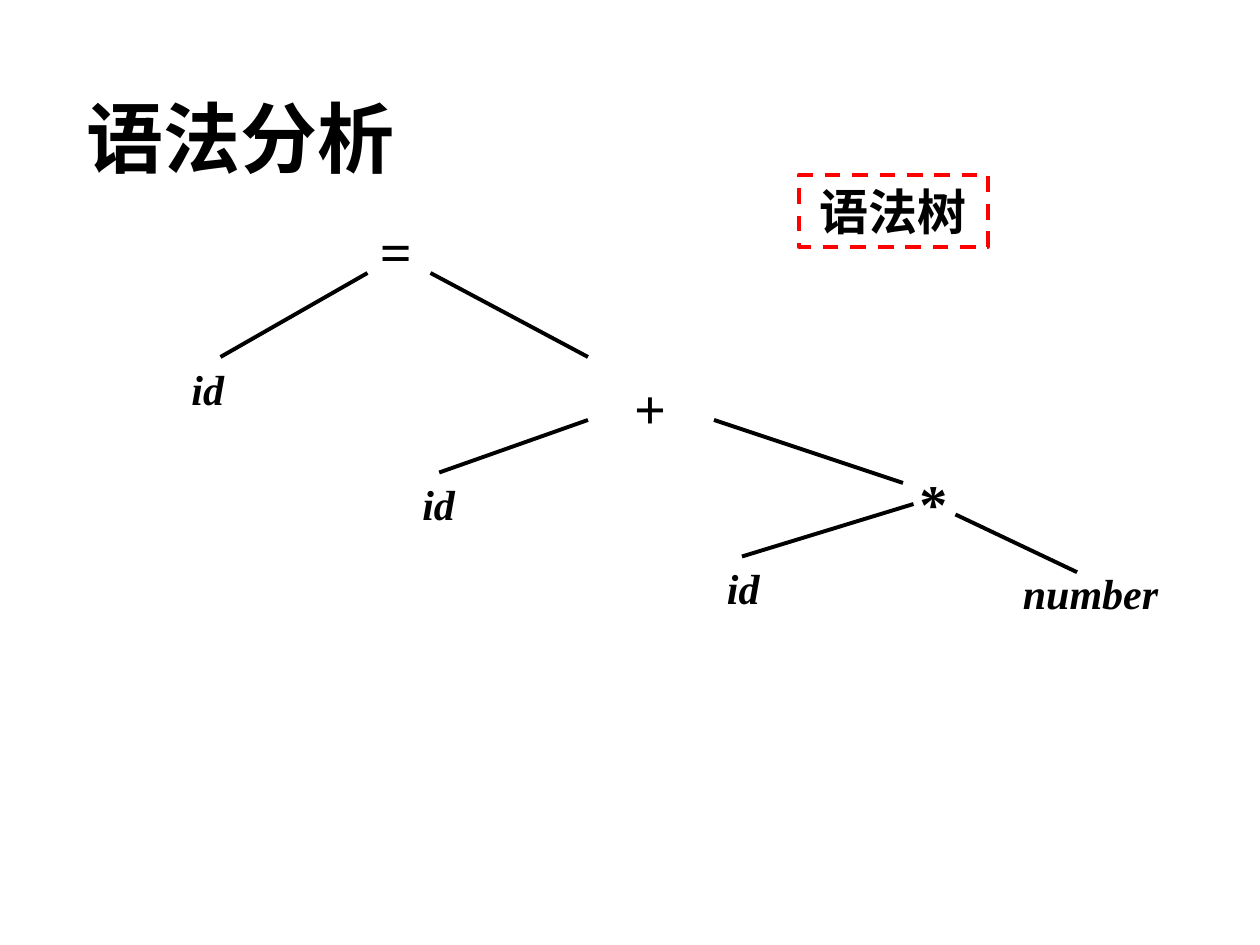
from dataclasses import dataclass

from lxml import etree
from pptx import Presentation
from pptx.dml.color import RGBColor
from pptx.enum.dml import MSO_LINE
from pptx.enum.shapes import MSO_CONNECTOR, MSO_SHAPE
from pptx.enum.text import MSO_ANCHOR, MSO_AUTO_SIZE, PP_ALIGN
from pptx.oxml.ns import qn
from pptx.util import Pt

LEFT, CENTER = PP_ALIGN.LEFT, PP_ALIGN.CENTER
TOP, MIDDLE = MSO_ANCHOR.TOP, MSO_ANCHOR.MIDDLE
DASH = MSO_LINE.DASH
RECTANGLE = MSO_SHAPE.RECTANGLE
STRAIGHT = MSO_CONNECTOR.STRAIGHT
NO_AUTOFIT = MSO_AUTO_SIZE.NONE


@dataclass(frozen=True)
class Theme:
    ink: RGBColor = RGBColor(0, 0, 0)
    accent: RGBColor = RGBColor(255, 0, 0)
    font: str = "Times New Roman"
    caption_font: str = "Arial"
    title_size: float = 44
    operator_size: float = 32
    caption_size: float = 28
    leaf_size: float = 24
    line_width: float = 2.25


THEME = Theme()

LEAF_SIZE = (117.4, 36)
LEAVES = [("id", 60, 204), ("id", 192, 270), ("id", 366, 318), ("number", 564.5, 321)]
OPERATOR_SIZE = (46.8, 46)
OPERATORS = [("=", 210, 120, LEFT), ("+", 348, 210, CENTER), ("*", 510, 264, CENTER)]
BRANCHES = [
    (210, 156, 126, 204),
    (246, 156, 336, 204),
    (336, 240, 251, 270),
    (408, 240, 516, 276),
    (522, 288, 424, 318),
    (546, 294, 615.5, 327),
]


def write_text(shape, text, size, align=CENTER, anchor=TOP, font=THEME.font, italic=False):
    frame = shape.text_frame
    frame.text = text
    frame.word_wrap = True
    frame.auto_size = NO_AUTOFIT
    frame.vertical_anchor = anchor
    paragraph = frame.paragraphs[0]
    paragraph.alignment = align
    paragraph.font.name = font
    paragraph.font.size = Pt(size)
    paragraph.font.bold = True
    paragraph.font.italic = italic
    paragraph.font.color.rgb = THEME.ink


def add_title(slide, text):
    title = slide.shapes.title
    title.left, title.top, title.width, title.height = Pt(42), Pt(42), Pt(678), Pt(72)
    write_text(title, text, THEME.title_size, LEFT, MIDDLE)


def add_node(slide, text, left, top, box_size, font_size, align=CENTER, italic=False):
    width, height = box_size
    node = slide.shapes.add_textbox(Pt(left), Pt(top), Pt(width), Pt(height))
    write_text(node, text, font_size, align, italic=italic)


def add_branch(slide, *ends):
    branch = slide.shapes.add_connector(STRAIGHT, *map(Pt, ends))
    branch.line.color.rgb = THEME.ink
    branch.line.width = Pt(THEME.line_width)
    etree.SubElement(branch._element.spPr, qn("a:effectLst"))


def add_caption(slide, text):
    caption = slide.shapes.add_shape(RECTANGLE, Pt(456.5), Pt(100), Pt(108), Pt(41))
    caption.shadow.inherit = False
    caption.fill.background()
    caption.line.color.rgb = THEME.accent
    caption.line.width = Pt(THEME.line_width)
    caption.line.dash_style = DASH
    write_text(caption, text, THEME.caption_size, font=THEME.caption_font)


def main():
    presentation = Presentation()
    presentation.slide_width, presentation.slide_height = Pt(720), Pt(540)
    slide = presentation.slides.add_slide(presentation.slide_layouts.get_by_name("Title Only"))

    add_title(slide, "语法分析")
    for text, left, top in LEAVES:
        add_node(slide, text, left, top, LEAF_SIZE, THEME.leaf_size, italic=True)
    for text, left, top, align in OPERATORS:
        add_node(slide, text, left, top, OPERATOR_SIZE, THEME.operator_size, align)
    for ends in BRANCHES:
        add_branch(slide, *ends)
    add_caption(slide, "语法树")

    presentation.save("out.pptx")


if __name__ == "__main__":
    main()
